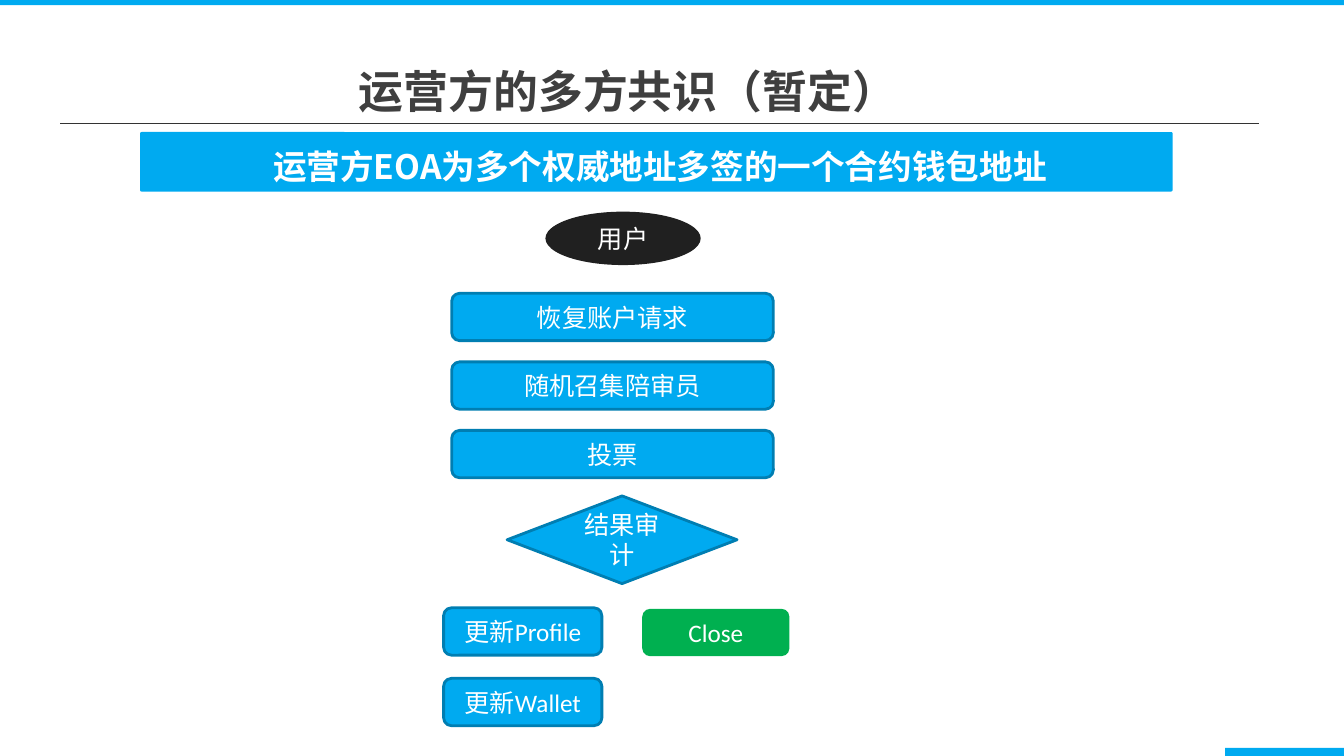
from dataclasses import dataclass
from typing import Optional

from lxml.etree import SubElement
from pptx import Presentation
from pptx.dml.color import RGBColor
from pptx.enum.shapes import MSO_CONNECTOR, MSO_SHAPE as Shape
from pptx.enum.text import MSO_ANCHOR, PP_ALIGN
from pptx.oxml.ns import qn
from pptx.util import Inches, Pt


@dataclass(frozen=True)
class Theme:
    blue: str = "00AAF0"
    blue_edge: str = "007EB2"
    green: str = "00B050"
    black: str = "202020"
    white: str = "FFFFFF"
    title_grey: str = "3F3F3F"
    rule_grey: str = "333333"
    heading_font: str = "Noto Sans CJK SC"
    body_font: str = "Calibri"
    title_size: int = 32
    banner_size: int = 24
    step_size: int = 18


THEME = Theme()


@dataclass(frozen=True)
class Block:
    left: float
    top: float
    width: float
    height: float
    text: str = ""
    kind: Shape = Shape.ROUNDED_RECTANGLE
    fill: str = THEME.blue
    edge: Optional[str] = None


def write(frame, text: str, size: int, color: str, font: str, bold: bool = False) -> None:
    frame.text = text
    frame.word_wrap = True
    frame.vertical_anchor = MSO_ANCHOR.MIDDLE
    paragraph = frame.paragraphs[0]
    paragraph.alignment = PP_ALIGN.CENTER
    for run in paragraph.runs:
        run.font.size = Pt(size)
        run.font.bold = bold
        run.font.name = font
        run.font.color.rgb = RGBColor.from_string(color)
        # East Asian glyphs take their own typeface
        SubElement(run.font._element, qn("a:ea")).set("typeface", THEME.heading_font)


def draw(slide, block: Block):
    shape = slide.shapes.add_shape(
        block.kind, Inches(block.left), Inches(block.top),
        Inches(block.width), Inches(block.height))
    shape.shadow.inherit = False
    shape.fill.solid()
    shape.fill.fore_color.rgb = RGBColor.from_string(block.fill)
    if block.edge:
        shape.line.color.rgb = RGBColor.from_string(block.edge)
        shape.line.width = Pt(2)
    else:
        shape.line.fill.background()
    if block.text:
        write(shape.text_frame, block.text, THEME.step_size, THEME.white, THEME.body_font)
    return shape


def draw_title(slide, text: str) -> None:
    title = slide.shapes.title
    title.left, title.top = Inches(1.78), Inches(0.56)
    title.width, title.height = Inches(8.9), Inches(0.67)
    frame = title.text_frame
    write(frame, text, THEME.title_size, THEME.title_grey, THEME.heading_font, bold=True)
    frame.margin_left = frame.margin_right = Inches(0.13)
    frame.margin_top = frame.margin_bottom = Inches(0.07)


def draw_rule(slide) -> None:
    rule = slide.shapes.add_connector(
        MSO_CONNECTOR.STRAIGHT, Inches(0.6), Inches(1.23), Inches(12.49), Inches(1.23))
    rule.line.color.rgb = RGBColor.from_string(THEME.rule_grey)
    rule.line.width = Pt(0.75)
    SubElement(rule._element.spPr, qn("a:effectLst"))


def draw_banner(slide, text: str) -> None:
    banner = draw(slide, Block(1.39, 1.31, 10.24, 0.59))
    banner.adjustments[0] = 0.024
    write(banner.text_frame, text, THEME.banner_size, THEME.white, THEME.heading_font, bold=True)
    paragraph = banner.text_frame.paragraphs[0]
    paragraph.line_spacing = 1.2
    paragraph._p.get_or_add_pPr().set("marL", str(Inches(0.07)))


def main() -> None:
    deck = Presentation()
    deck.slide_width, deck.slide_height = Inches(13.33), Inches(7.5)
    slide = deck.slides.add_slide(deck.slide_layouts[5])

    # Edge bars
    draw(slide, Block(0, 0, 13.33, 0.05, kind=Shape.RECTANGLE))
    draw(slide, Block(12.15, 7.42, 1.18, 0.08, kind=Shape.RECTANGLE))

    # Heading
    draw_rule(slide)
    draw_title(slide, "运营方的多方共识（暂定）")
    draw_banner(slide, "运营方EOA为多个权威地址多签的一个合约钱包地址")

    # Account recovery flow
    edge = THEME.blue_edge
    draw(slide, Block(5.41, 2.1, 1.54, 0.53, "用户", Shape.OVAL, THEME.black))
    for row, step in enumerate(("恢复账户请求", "随机召集陪审员", "投票")):
        draw(slide, Block(4.48, 2.91 + 0.68 * row, 3.19, 0.47, step, edge=edge))
    draw(slide, Block(5.03, 4.92, 2.28, 0.87, "结果审计",
                      Shape.FLOWCHART_DECISION, edge=edge))

    # Outcomes
    for row, update in enumerate(("更新Profile", "更新Wallet")):
        draw(slide, Block(4.4, 6.03 + 0.7 * row, 1.57, 0.47, update, edge=edge))
    draw(slide, Block(6.37, 6.04, 1.46, 0.47, "Close", fill=THEME.green))

    deck.save("out.pptx")


if __name__ == "__main__":
    main()
